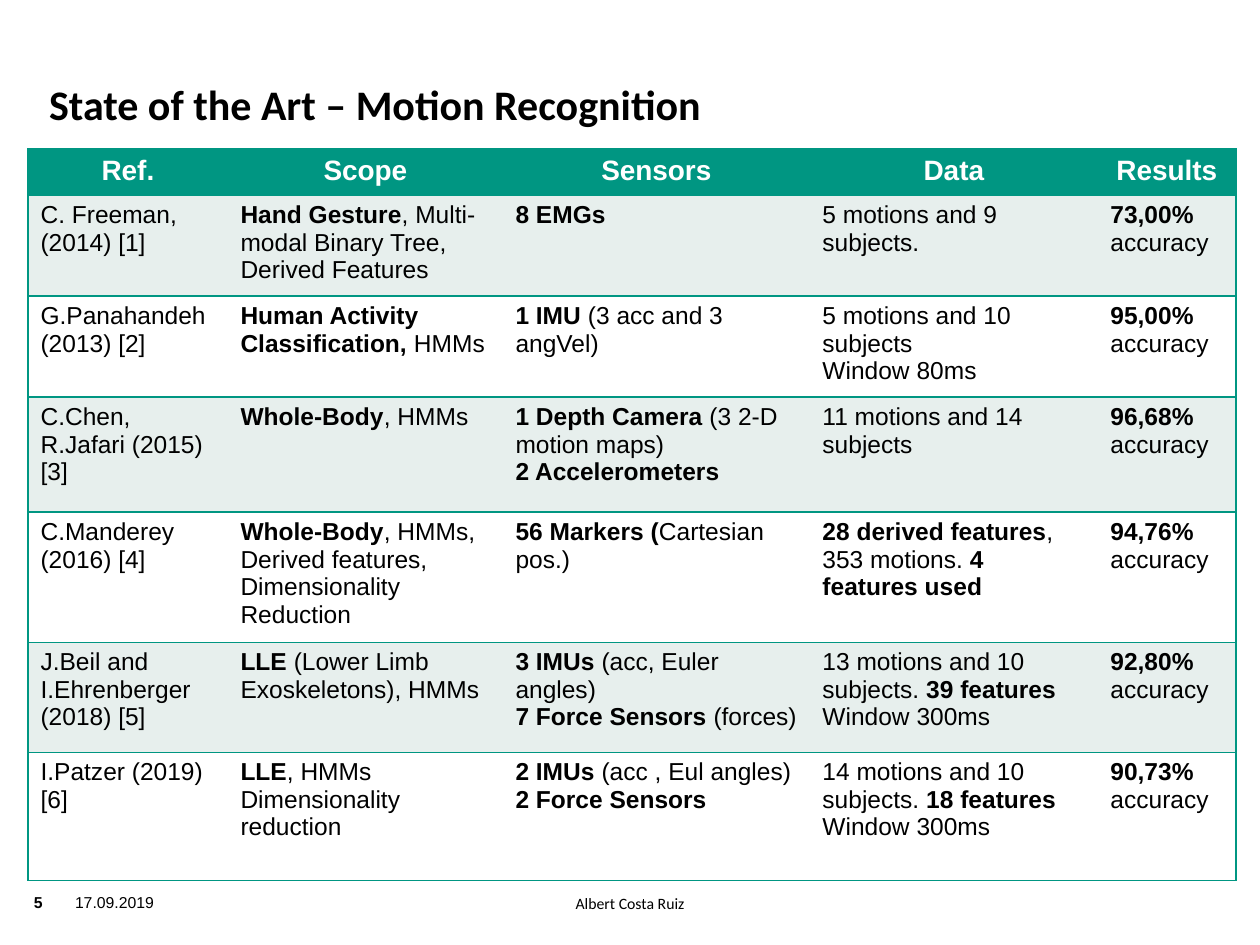
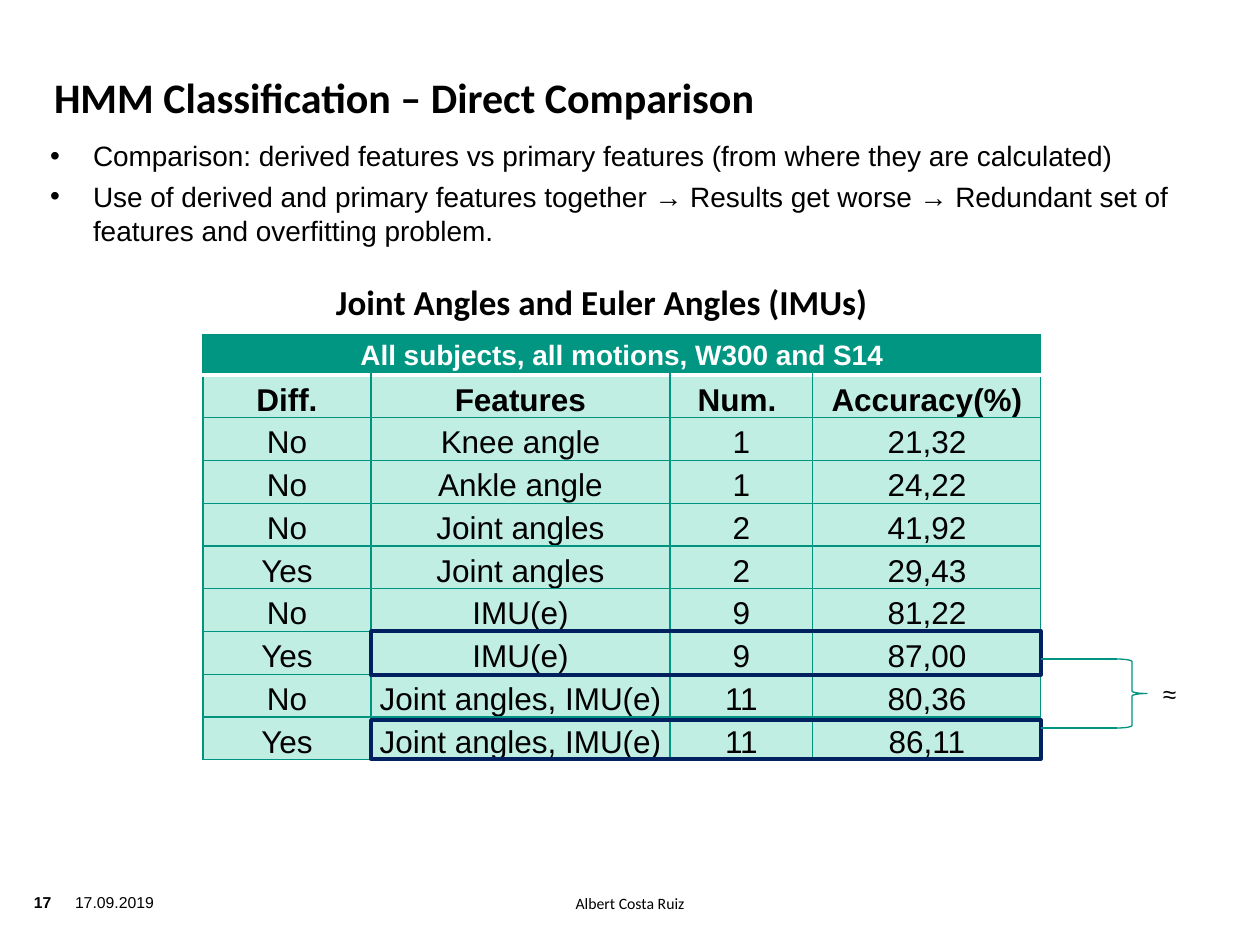
from dataclasses import dataclass

from lxml.etree import SubElement
from pptx import Presentation
from pptx.dml.color import RGBColor
from pptx.enum.shapes import MSO_CONNECTOR, MSO_SHAPE
from pptx.enum.text import MSO_ANCHOR, PP_ALIGN
from pptx.oxml.ns import qn
from pptx.util import Emu, Pt

# Content: **double stars** mark bold, a line break starts a paragraph.
AUTHOR = "Albert Costa Ruiz"
DATE = "17.09.2019"

STUDIES = {
    "number": "5",
    "title": "State of the Art – Motion Recognition",
    "header": ["Ref.", "Scope", "Sensors", "Data", "Results"],
    "rows": [
        ["C. Freeman, (2014) [1]",
         "**Hand Gesture**, Multi-modal Binary Tree, Derived Features",
         "**8 EMGs**",
         "5 motions and 9 subjects.",
         "**73,00% **accuracy"],
        ["G.Panahandeh (2013) [2]",
         "**Human Activity Classification,** HMMs",
         "**1 IMU **(3 acc and 3 angVel)",
         "5 motions and 10 subjects\nWindow 80ms",
         "**95,00% **accuracy"],
        ["C.Chen, R.Jafari (2015) [3]",
         "**Whole-Body**, HMMs",
         "**1 Depth Camera **(3 2-D motion maps)\n**2 Accelerometers**",
         "11 motions and 14 subjects",
         "**96,68% **accuracy"],
        ["C.Manderey (2016) [4]",
         "**Whole-Body**, HMMs, Derived features, Dimensionality Reduction",
         "**56 Markers (**Cartesian pos.)",
         "**28 derived features**, 353 motions. **4 features used**",
         "**94,76% **accuracy"],
        ["J.Beil and I.Ehrenberger (2018) [5]",
         "**LLE **(Lower Limb Exoskeletons), HMMs",
         "**3 IMUs **(acc, Euler angles)\n**7 Force Sensors **(forces)",
         "13 motions and 10 subjects. **39 features**\nWindow 300ms",
         "**92,80% **accuracy"],
        ["I.Patzer (2019) [6]",
         "**LLE**, HMMs\nDimensionality reduction",
         "**2 IMUs **(acc , Eul angles)\n**2 Force Sensors**",
         "14 motions and 10 subjects. **18 features**\nWindow 300ms",
         "**90,73% **accuracy"],
    ],
}

COMPARISON = {
    "number": "17",
    "title": "HMM Classification – Direct Comparison",
    "bullets": "Comparison: derived features vs primary features (from where they are calculated)\n"
               "Use of derived and primary features together → Results get worse → "
               "Redundant set of features and overfitting problem.",
    "subtitle": "Joint Angles and Euler Angles (IMUs)",
    "caption": "All subjects, all motions, W300 and S14",
    "header": ["Diff.", "Features", "Num. ", "Accuracy(%)"],
    "rows": [
        ["No", "Knee angle", "1", "21,32"],
        ["No", "Ankle angle", "1", "24,22"],
        ["No", "Joint angles", "2", "41,92"],
        ["Yes", "Joint angles", "2", "29,43"],
        ["No", "IMU(e)", "9", "81,22"],
        ["Yes", "IMU(e)", "9", "87,00"],
        ["No", "Joint angles, IMU(e)", "11", "80,36"],
        ["Yes", "Joint angles, IMU(e)", "11", "86,11"],
    ],
    "similar": "≈",
}


@dataclass(frozen=True)
class Theme:
    body_font: str = "Arial"
    title_font: str = "Calibri"
    black: str = "000000"
    white: str = "FFFFFF"
    teal: str = "009682"
    grid: str = "00937F"
    band: str = "E7EFED"
    mint: str = "C0EEE2"
    navy: str = "002060"
    title: int = 24
    subtitle: int = 20
    large: int = 18
    heading: int = 16
    body: int = 14
    footer: int = 9
    hairline: float = 0.75
    rule: float = 1
    frame: float = 2


THEME = Theme()
NO_GRID_STYLE = "{2D5ABB26-0587-4C30-8999-92F81FD0307C}"
BORDER_TAGS = {"left": "a:lnL", "right": "a:lnR", "top": "a:lnT", "bottom": "a:lnB"}
NO_INSETS = (0, 0, 0, 0)
BOX_INSETS = (13, 6, 13, 6)


def px(length):
    return Emu(round(length * 914400 / 126))


def color(value):
    return RGBColor.from_string(value)


def write_text(frame, text, *, size=THEME.body, font=THEME.body_font, fill=THEME.black,
               bold=False, align=PP_ALIGN.LEFT, spacing=None, before=None, bullet_indent=0):
    for index, line in enumerate(text.split("\n")):
        paragraph = frame.add_paragraph() if index else frame.paragraphs[0]
        paragraph.alignment = align
        paragraph.line_spacing = spacing
        paragraph.space_before = before
        if bullet_indent:
            properties = paragraph._p.get_or_add_pPr()
            properties.set("marL", str(px(bullet_indent)))
            properties.set("indent", str(-px(bullet_indent)))
            SubElement(properties, qn("a:buFont")).set("typeface", THEME.body_font)
            SubElement(properties, qn("a:buChar")).set("char", "•")
        for part, content in enumerate(line.split("**")):
            if content:
                run = paragraph.add_run()
                run.text = content
                run.font.size = Pt(size)
                run.font.name = font
                run.font.bold = bold or part % 2 == 1
                run.font.color.rgb = color(fill)


def set_insets(target, insets):
    """Set the margins of a text frame or a table cell."""
    (target.margin_left, target.margin_top,
     target.margin_right, target.margin_bottom) = map(px, insets)


def add_text(slide, box, text, *, insets=NO_INSETS, anchor=MSO_ANCHOR.TOP, **text_format):
    frame = slide.shapes.add_textbox(*map(px, box)).text_frame
    frame.word_wrap = True
    frame.vertical_anchor = anchor
    set_insets(frame, insets)
    write_text(frame, text, **text_format)


def add_base_slide(presentation, content, title_box):
    """Add a blank slide with the shared title and footer."""
    slide = presentation.slides.add_slide(presentation.slide_layouts[6])
    add_text(slide, (208, 890, 844, 49), AUTHOR, insets=BOX_INSETS, size=THEME.footer,
             font=THEME.title_font, align=PP_ALIGN.CENTER, spacing=0.9)
    add_text(slide, (75, 893, 118, 49), DATE, size=THEME.footer)
    add_text(slide, (34, 893, 44, 29), content["number"], size=THEME.footer, bold=True)
    add_text(slide, title_box, content["title"], size=THEME.title, font=THEME.title_font,
             bold=True, anchor=MSO_ANCHOR.BOTTOM)
    return slide


def add_table(slide, left, top, widths, heights):
    frame = slide.shapes.add_table(len(heights), len(widths), px(left), px(top),
                                   px(sum(widths)), px(sum(heights)))
    table = frame.table
    table.first_row = table.horz_banding = False
    table._tbl.tblPr.find(qn("a:tableStyleId")).text = NO_GRID_STYLE
    for column, width in zip(table.columns, widths):
        column.width = px(width)
    for row, height in zip(table.rows, heights):
        row.height = px(height)
    return table


def style_cell(cell, background, borders):
    """Fill a cell; borders maps a side to its (colour, points)."""
    properties = cell._tc.get_or_add_tcPr()
    for side, tag in BORDER_TAGS.items():
        if side in borders:
            line_color, points = borders[side]
            line = SubElement(properties, qn(tag), w=str(Pt(points)))
            fill = SubElement(line, qn("a:solidFill"))
            SubElement(fill, qn("a:srgbClr"), val=line_color)
    cell.fill.solid()
    cell.fill.fore_color.rgb = color(background)


def add_outline(slide, kind, box, line_color, points):
    shape = slide.shapes.add_shape(kind, *map(px, box))
    shape.shadow.inherit = False
    shape.fill.background()
    shape.line.color.rgb = color(line_color)
    shape.line.width = Pt(points)


def add_level_line(slide, left, right, y):
    line = slide.shapes.add_connector(MSO_CONNECTOR.STRAIGHT, px(left), px(y), px(right), px(y))
    line.line.color.rgb = color(THEME.grid)
    line.line.width = Pt(THEME.hairline)
    SubElement(line._element.spPr, qn("a:effectLst"))


def build_studies(presentation):
    slide = add_base_slide(presentation, STUDIES, (49, 52, 953, 77))
    widths = [200, 275, 307, 288, 138]
    table = add_table(slide, 28, 149, widths, [45, 99, 98, 115, 128, 110, 128])
    rule = (THEME.teal, THEME.rule)
    for row, texts in enumerate([STUDIES["header"], *STUDIES["rows"]]):
        if row == 0:
            background = THEME.teal
            text_format = dict(size=THEME.heading, fill=THEME.white, bold=True,
                               align=PP_ALIGN.CENTER)
        else:
            background = THEME.band if row % 2 else THEME.white
            text_format = dict(size=THEME.body)
        for column, text in enumerate(texts):
            borders = {"top": rule, "bottom": rule}
            if column == 0:
                borders["left"] = rule
            if column == len(widths) - 1:
                borders["right"] = rule
            cell = table.cell(row, column)
            style_cell(cell, background, borders)
            write_text(cell.text_frame, text, **text_format)


def build_comparison(presentation):
    slide = add_base_slide(presentation, COMPARISON, (54, 45, 1013, 77))
    add_text(slide, (50, 139, 1181, 130), COMPARISON["bullets"], size=THEME.heading,
             before=Pt(4), bullet_indent=43)
    add_text(slide, (323, 275, 625, 62), COMPARISON["subtitle"], insets=BOX_INSETS,
             size=THEME.subtitle, font=THEME.title_font, bold=True)

    left, top, caption_height, grid_height = 203, 335, 40, 385
    widths = [168, 299, 143, 228]
    right = left + sum(widths)
    rows = [[COMPARISON["caption"]], COMPARISON["header"], *COMPARISON["rows"]]
    grid_rows = len(rows) - 1
    table = add_table(slide, left, top, widths,
                      [caption_height] + [grid_height / grid_rows] * grid_rows)
    table.cell(0, 0).merge(table.cell(0, len(widths) - 1))
    separator = (THEME.white, THEME.frame)
    for row, texts in enumerate(rows):
        is_caption = row == 0
        borders = dict.fromkeys(BORDER_TAGS, (THEME.grid, THEME.hairline))
        if row < 2:
            borders["bottom" if is_caption else "top"] = separator
        for column in range(len(widths)):
            cell = table.cell(row, column)
            style_cell(cell, THEME.teal if is_caption else THEME.mint, borders)
            cell.vertical_anchor = MSO_ANCHOR.MIDDLE if is_caption else MSO_ANCHOR.BOTTOM
            set_insets(cell, (1, 1, 1, 0))
            if column < len(texts):
                write_text(cell.text_frame, texts[column], bold=row < 2, align=PP_ALIGN.CENTER,
                           size=THEME.heading if is_caption else THEME.large,
                           fill=THEME.white if is_caption else THEME.black)

    features_left = left + widths[0]
    for frame_top, frame_height in [(631, 44), (720, 39)]:
        add_outline(slide, MSO_SHAPE.RECTANGLE,
                    (features_left, frame_top, right - features_left, frame_height),
                    THEME.navy, THEME.frame)

    brace_left, brace_top, brace_bottom = 1117, 659, 728
    for y in (brace_top, brace_bottom):
        add_level_line(slide, right, brace_left, y)
    add_outline(slide, MSO_SHAPE.RIGHT_BRACE,
                (brace_left, brace_top, 30, brace_bottom - brace_top),
                THEME.grid, THEME.hairline)
    add_text(slide, (1150, 673, 101, 43), COMPARISON["similar"], insets=BOX_INSETS)


def main():
    presentation = Presentation()
    presentation.slide_width, presentation.slide_height = px(1260), px(945)
    build_studies(presentation)
    build_comparison(presentation)
    presentation.save("out.pptx")


if __name__ == "__main__":
    main()
